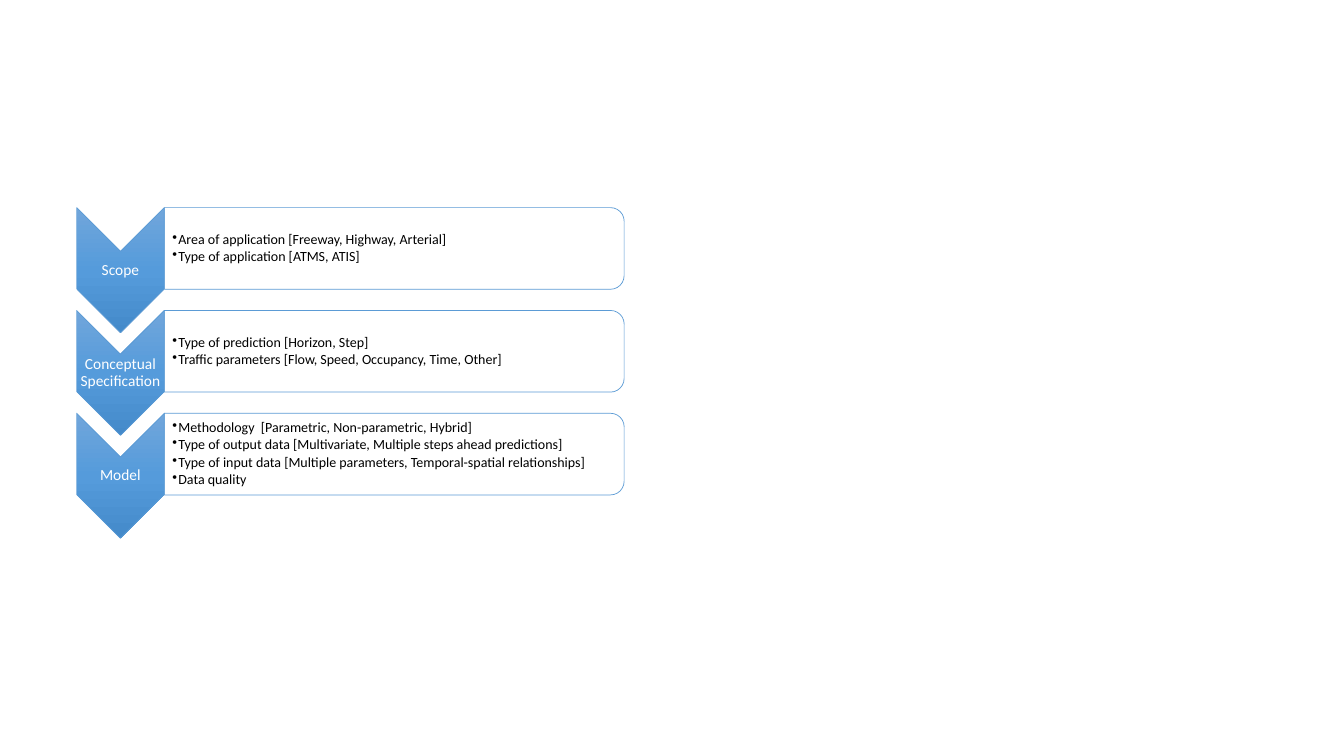
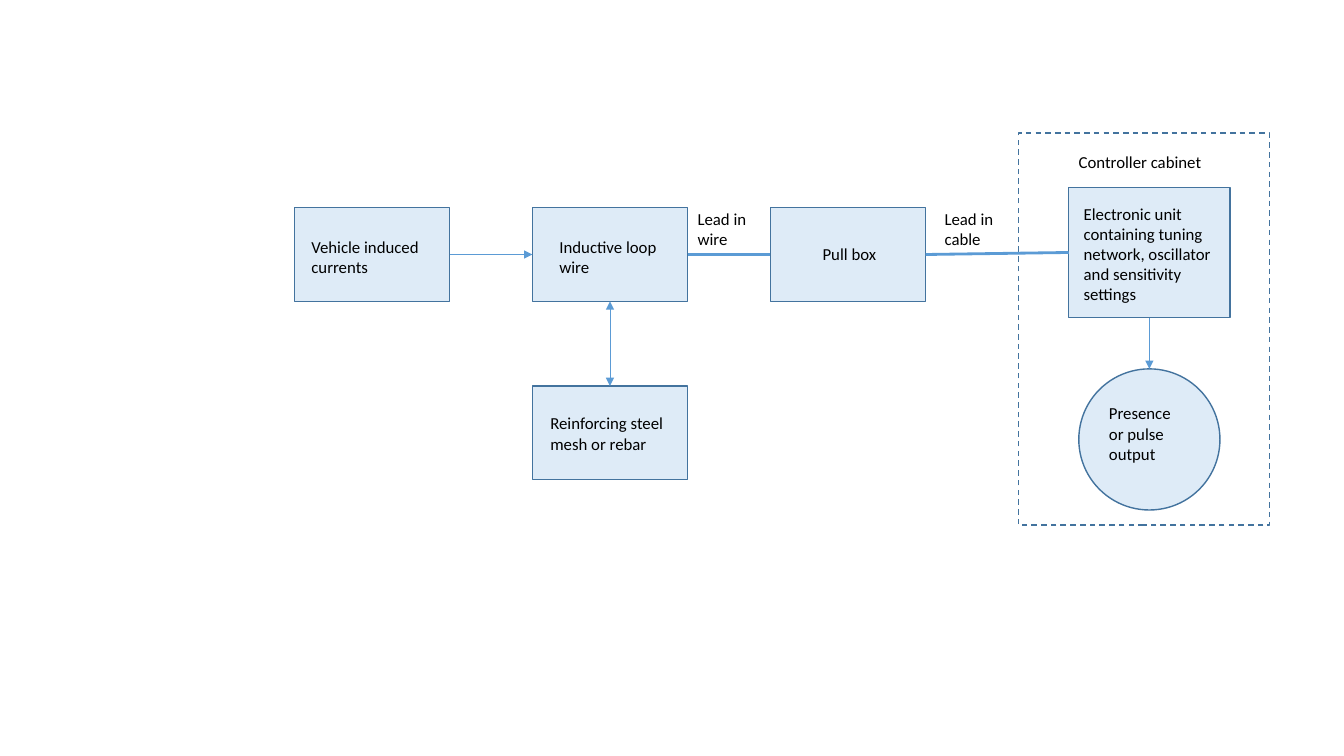
from lxml import etree
from pptx import Presentation
from pptx.dml.color import RGBColor
from pptx.enum.dml import MSO_LINE
from pptx.enum.shapes import MSO_CONNECTOR, MSO_SHAPE
from pptx.enum.text import MSO_ANCHOR, MSO_AUTO_SIZE, PP_ALIGN
from pptx.oxml.ns import qn
from pptx.util import Inches, Pt

RECT, OVAL = MSO_SHAPE.RECTANGLE, MSO_SHAPE.OVAL
CHEVRON, PANEL = MSO_SHAPE.CHEVRON, MSO_SHAPE.ROUND_2_SAME_RECTANGLE
STRAIGHT, DASH = MSO_CONNECTOR.STRAIGHT, MSO_LINE.DASH
MIDDLE, CENTER = MSO_ANCHOR.MIDDLE, PP_ALIGN.CENTER
GROW = MSO_AUTO_SIZE.SHAPE_TO_FIT_TEXT
TOP, LEFT, BOTTOM, RIGHT = range(4)

FONT = "Calibri"
COLORS = {"text": "000000", "white": "FFFFFF", "accent": "5B9BD5",
          "node": "DEEBF7", "border": "43739E"}
CHEVRON_STOPS = [(0, "71A6DB"), (50, "559BDB"), (100, "448ACA")]

STAGES = [
    ("Scope", ["Area of application [Freeway, Highway, Arterial]",
               "Type of application [ATMS, ATIS]"]),
    ("Conceptual Specification",
     ["Type of prediction [Horizon, Step]",
      "Traffic parameters [Flow, Speed, Occupancy, Time, Other]"]),
    ("Model",
     ["Methodology  [Parametric, Non-parametric, Hybrid]",
      "Type of output data [Multivariate, Multiple steps ahead predictions]",
      "Type of input data [Multiple parameters, Temporal-spatial relationships]",
      "Data quality"]),
]


def rgb(name):
    """Return the named colour."""
    return RGBColor.from_string(COLORS[name])


def child(parent, tag, **attrs):
    """Append a DrawingML element with the given attributes."""
    return etree.SubElement(parent, qn(tag), attrs)


def add_box(s, kind, x, y, w, h, fill=None, line="border", width=1, turn=0):
    """Add a shape that covers the box x, y, w, h after a quarter turn or none."""
    if turn:
        x, y, w, h = x + (w - h) / 2, y + (h - w) / 2, h, w
    sp = s.shapes.add_shape(kind, Inches(x), Inches(y), Inches(w), Inches(h))
    sp.rotation = turn
    sp.shadow.inherit = False
    if fill:
        sp.fill.solid()
        sp.fill.fore_color.rgb = rgb(fill)
    else:
        sp.fill.background()
    sp.line.color.rgb = rgb(line)
    sp.line.width = Pt(width)
    return sp


def add_text(s, lines, x, y, w, h, size=12, color="text", wrap=True):
    """Add a text box with one paragraph per line and return its frame."""
    box = s.shapes.add_textbox(Inches(x), Inches(y), Inches(w), Inches(h))
    tf = box.text_frame
    tf.word_wrap = wrap
    tf.text = "\n".join(lines)
    for p in tf.paragraphs:
        p.font.name, p.font.size = FONT, Pt(size)
        p.font.color.rgb = rgb(color)
    return tf


def add_note(s, text, x, y, w, h, wrap=True):
    """Add a diagram caption whose box grows with its text."""
    add_text(s, [text], x, y, w, h, wrap=wrap).auto_size = GROW


def tighten(tf, left=0.01):
    """Centre text vertically, with narrow margins and close lines."""
    tf.vertical_anchor = MIDDLE
    tf.margin_left = Inches(left)
    tf.margin_top = tf.margin_right = tf.margin_bottom = Inches(0.01)
    for p in tf.paragraphs:
        p.line_spacing = 0.9


def add_bullets(tf):
    """Give every paragraph a hanging bullet."""
    for p in tf.paragraphs:
        p.level = 1
        p.space_after = Pt(1.5)
        pPr = p._p.get_or_add_pPr()
        pPr.set("marL", str(Inches(0.06)))
        pPr.set("indent", str(-Inches(0.06)))
        bullet = etree.Element(qn("a:buChar"), char="•")
        pPr.insert_element_before(bullet, "a:tabLst", "a:defRPr", "a:extLst")


def shade(sp, stops):
    """Fill a shape with a gradient that runs down the slide."""
    sp.fill.gradient()
    grad = sp._element.spPr.find(qn("a:gradFill"))
    grad.set("rotWithShape", "0")
    for part in list(grad):
        grad.remove(part)
    stop_list = child(grad, "a:gsLst")
    for pos, color in stops:
        child(child(stop_list, "a:gs", pos=str(pos * 1000)), "a:srgbClr", val=color)
    child(grad, "a:lin", ang="5400000", scaled="0")


def link(s, start, start_site, end, end_site, width=0.5, heads=()):
    """Join two shapes by a straight line with optional arrowheads."""
    cx = s.shapes.add_connector(STRAIGHT, 0, 0, 0, 0)
    cx.begin_connect(start, start_site)
    cx.end_connect(end, end_site)
    cx.line.color.rgb = rgb("accent")
    cx.line.width = Pt(width)
    for head in heads:
        child(cx.line._get_or_add_ln(), head, type="triangle")
    child(cx._element.spPr, "a:effectLst")


def stage_row(s, x, y, w, h, label, points):
    """Draw a downward chevron with its label and a panel of points."""
    arrow_w, arrow_h = 0.87, 1.24
    panel = add_box(s, PANEL, x + arrow_w, y, w - arrow_w, h, "white", "accent", 0.5, 90)
    color = panel._element.spPr.find(qn("a:solidFill"))[0]
    child(color, "a:alpha", val="90000")
    arrow = add_box(s, CHEVRON, x, y, arrow_w, arrow_h, "accent", "accent", 0.5, 90)
    shade(arrow, CHEVRON_STOPS)

    tf = add_text(s, [label], x, y + arrow_w / 2, arrow_w, arrow_h - arrow_w, 11, "white")
    tighten(tf)
    tf.paragraphs[0].alignment = CENTER
    tf = add_text(s, points, x + arrow_w, y + 0.04, w - arrow_w - 0.03, h - 0.08, 10)
    tighten(tf, 0.08)
    add_bullets(tf)


def stages_slide(s, x, y, w, pitch):
    """Stack the stage rows at an equal pitch."""
    for i, (label, points) in enumerate(STAGES):
        stage_row(s, x, y + i * pitch, w, 0.81, label, points)


def loop_chain(s, x, y, pitch_x, pitch_y):
    """Draw the loop parts on a grid and return the pull box."""
    w, h = 1.54, 0.93
    # column, row, caption, caption offset and size
    parts = [(0, 0, "Vehicle induced currents", 0.07, 0.24, 1.37, 0.5),
             (1, 0, "Inductive loop wire", 0.17, 0.24, 1.37, 0.5),
             (2, 0, "Pull box", 0.42, 0.31, 0.98, 0.3),
             (1, 1, "Reinforcing steel mesh or rebar", 0.08, 0.22, 1.37, 0.5)]
    nodes = []
    for col, row, text, dx, dy, tw, th in parts:
        left, top = x + col * pitch_x, y + row * pitch_y
        nodes.append(add_box(s, RECT, left, top, w, h, "node"))
        add_note(s, text, left + dx, top + dy, tw, th)
    currents, loop, pull, rebar = nodes
    link(s, currents, RIGHT, loop, LEFT, heads=["a:tailEnd"])
    link(s, loop, RIGHT, pull, LEFT, width=2)
    link(s, loop, BOTTOM, rebar, TOP, heads=["a:headEnd", "a:tailEnd"])
    add_note(s, "Lead in wire", x + pitch_x + w, y - 0.04, 0.72, 0.5)
    add_note(s, "Lead in cable", x + 2 * pitch_x + w + 0.09, y - 0.04, 0.72, 0.5)
    return pull


def cabinet(s, x, y, w, h):
    """Draw the dashed cabinet with its parts and return the electronic unit."""
    add_box(s, RECT, x, y, w, h).line.dash_style = DASH
    unit = add_box(s, RECT, x + 0.5, y + 0.54, 1.6, 1.29, "node")
    output = add_box(s, OVAL, x + 0.6, y + 2.34, 1.4, 1.4, "node")
    link(s, unit, BOTTOM, output, TOP, heads=["a:tailEnd"])
    add_note(s, "Controller cabinet", x + 0.5, y + 0.14, 1.43, 0.3, wrap=False)
    add_note(s, "Electronic unit containing tuning network, oscillator "
             "and sensitivity settings", x + 0.55, y + 0.65, 1.6, 1.11)
    add_note(s, "Presence or pulse output", x + 0.8, y + 2.63, 0.99, 0.71)
    return unit


def detector_slide(s):
    """Draw the loop chain and the cabinet, joined by the lead in cable."""
    pull = loop_chain(s, 2.92, 2.06, 2.36, 1.77)
    unit = cabinet(s, 10.1, 1.32, 2.49, 3.89)
    link(s, pull, RIGHT, unit, LEFT, width=2)


prs = Presentation()
prs.slide_width, prs.slide_height = Inches(13.33), Inches(7.5)
blank = prs.slide_layouts[6]
stages_slide(prs.slides.add_slide(blank), 0.76, 2.06, 5.43, 1.02)
detector_slide(prs.slides.add_slide(blank))
prs.save("out.pptx")
